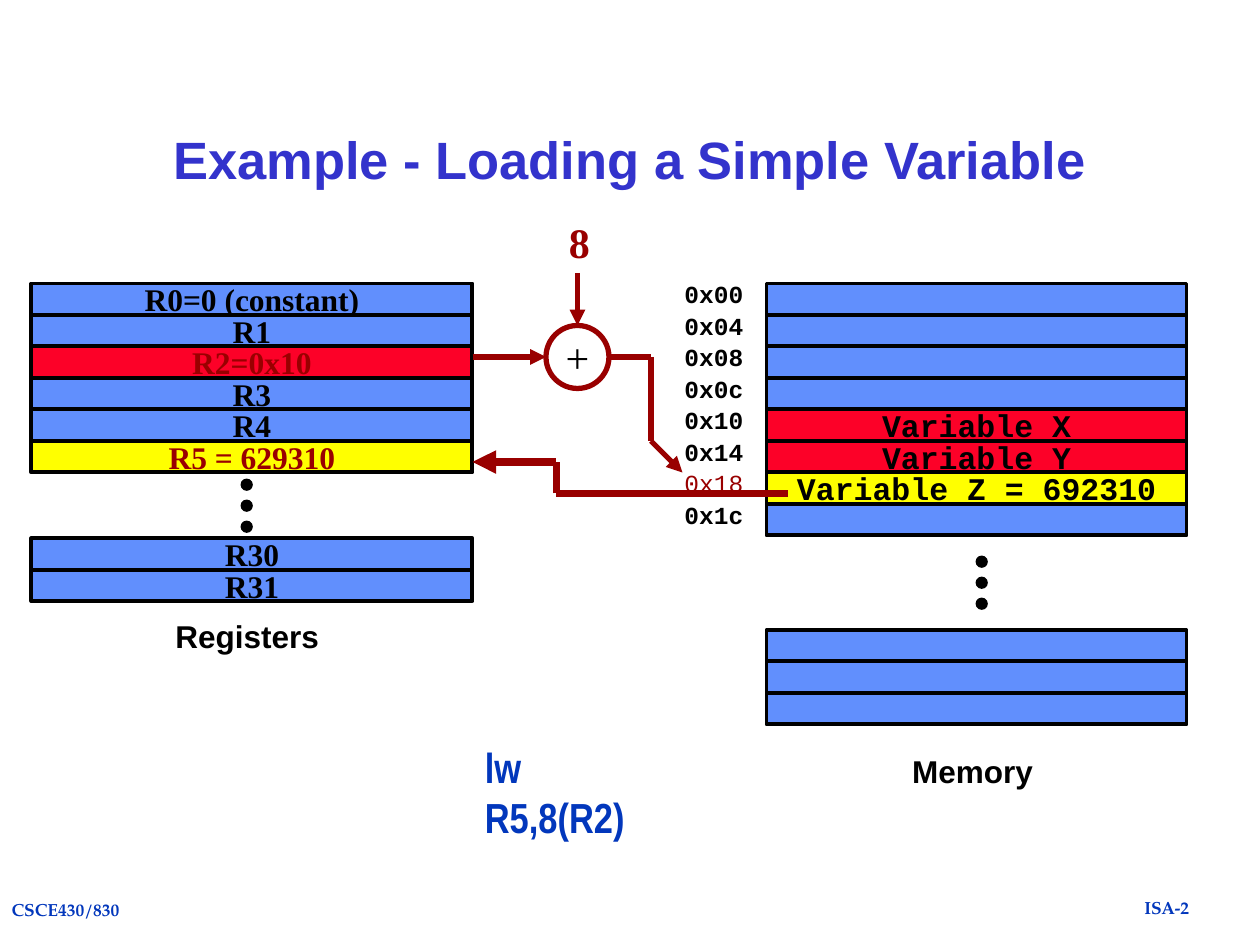
import pptx
import pptx.dml.color
import pptx.enum.shapes
import pptx.enum.text
import pptx.oxml
import pptx.oxml.ns
import pptx.util
from lxml import etree

Pt = pptx.util.Pt
RGBColor = pptx.dml.color.RGBColor
MSO_SHAPE = pptx.enum.shapes.MSO_SHAPE
MSO_CONNECTOR = pptx.enum.shapes.MSO_CONNECTOR
MSO_ANCHOR = pptx.enum.text.MSO_ANCHOR
MSO_AUTO_SIZE = pptx.enum.text.MSO_AUTO_SIZE
PP_ALIGN = pptx.enum.text.PP_ALIGN
qn = pptx.oxml.ns.qn

BLACK = RGBColor(0x00, 0x00, 0x00)
DARK_RED = RGBColor(0x99, 0x00, 0x00)
RED = RGBColor(0xFC, 0x01, 0x28)
YELLOW = RGBColor(0xFF, 0xFF, 0x00)
CELL_BLUE = RGBColor(0x61, 0x8F, 0xFD)
TEXT_BLUE = RGBColor(0x02, 0x37, 0xBC)
TITLE_BLUE = RGBColor(0x33, 0x33, 0xCC)

ROW_HEIGHT = 18
STACK_TOP = 162
REGISTER_LEFT, REGISTER_WIDTH = 18, 252
MEMORY_LEFT, MEMORY_WIDTH = 438, 240


def write_text(shape, text, font_name, size, color, bold=True, align=PP_ALIGN.CENTER):
    """Write one unwrapped line of text into a shape and return its paragraph."""
    shape.text_frame.word_wrap = False
    paragraph = shape.text_frame.paragraphs[0]
    paragraph.alignment = align
    run = paragraph.add_run()
    run.text = text
    run.font.name = font_name
    run.font.size = Pt(size)
    run.font.bold = bold
    run.font.color.rgb = color
    return paragraph


def add_outlined_shape(kind, left, top, width, height, line_color, line_width, fill=None):
    shape = slide.shapes.add_shape(kind, Pt(left), Pt(top), Pt(width), Pt(height))
    shape.shadow.inherit = False
    if fill is None:
        shape.fill.background()
    else:
        shape.fill.solid()
        shape.fill.fore_color.rgb = fill
    shape.line.color.rgb = line_color
    shape.line.width = Pt(line_width)
    shape.text_frame.vertical_anchor = MSO_ANCHOR.MIDDLE
    return shape


presentation = pptx.Presentation()
presentation.slide_width = Pt(720)
presentation.slide_height = Pt(540)
slide = presentation.slides.add_slide(presentation.slide_layouts[5])

# Title
title = slide.shapes.title
title.left, title.top, title.width, title.height = Pt(78), Pt(48), Pt(564), Pt(90)
paragraph = write_text(title, "Example - Loading a Simple Variable", "Arial", 30, TITLE_BLUE)
paragraph.line_spacing = 0.9
title.text_frame.word_wrap = True
title.text_frame.auto_size = MSO_AUTO_SIZE.NONE
title.text_frame.vertical_anchor = MSO_ANCHOR.MIDDLE

# Labels: text, left, top, width, height, font, size, colour, bold, alignment
labels = [
    ("ISA-2", 646.4, 508.8, 40.6, 19, "TeX Gyre Pagella", 10, TEXT_BLUE, True, PP_ALIGN.CENTER),
    ("CSCE430/830", -0.7, 510, 76.3, 19, "TeX Gyre Pagella", 10, TEXT_BLUE, True, PP_ALIGN.CENTER),
    ("lw R5,8(R2)", 270, 420, 120, 36, "Arial Narrow", 24, TEXT_BLUE, True, PP_ALIGN.LEFT),
    ("8", 318, 120, 26, 36, "Times New Roman", 24, DARK_RED, True, PP_ALIGN.LEFT),
    ("Registers", 93, 349, 96.5, 29, "Arial", 18, BLACK, True, PP_ALIGN.CENTER),
    ("Memory", 514, 426, 83.5, 29, "Arial", 18, BLACK, True, PP_ALIGN.CENTER),
]
addresses = ["0x00", "0x04", "0x08", "0x0c", "0x10", "0x14", "0x18", "0x1c"]
for row, address in enumerate(addresses):
    selected = address == "0x18"
    labels.append((address, 384, 156 + row * ROW_HEIGHT, 48, 24.5, "Courier New", 14,
                   DARK_RED if selected else BLACK, not selected, PP_ALIGN.LEFT))
for text, left, top, width, height, *style in labels:
    box = slide.shapes.add_textbox(Pt(left), Pt(top), Pt(width), Pt(height))
    write_text(box, text, *style)
    box.text_frame.auto_size = MSO_AUTO_SIZE.SHAPE_TO_FIT_TEXT

# Register and memory stacks: left, top, width, font, cells (text, fill, text colour)
stacks = [
    (REGISTER_LEFT, STACK_TOP, REGISTER_WIDTH, "Times New Roman", [
        ("R0=0 (constant)", CELL_BLUE, BLACK),
        ("R1", CELL_BLUE, BLACK),
        ("R2=0x10", RED, DARK_RED),
        ("R3", CELL_BLUE, BLACK),
        ("R4", CELL_BLUE, BLACK),
        ("R5 = 629310", YELLOW, DARK_RED),
    ]),
    (REGISTER_LEFT, 307.5, REGISTER_WIDTH, "Times New Roman", [
        ("R30", CELL_BLUE, BLACK),
        ("R31", CELL_BLUE, BLACK),
    ]),
    (MEMORY_LEFT, STACK_TOP, MEMORY_WIDTH, "Courier New", [
        *[("", CELL_BLUE, BLACK)] * 4,
        ("Variable X", RED, BLACK),
        ("Variable Y", RED, BLACK),
        ("Variable Z = 692310", YELLOW, BLACK),
        ("", CELL_BLUE, BLACK),
    ]),
    (MEMORY_LEFT, 360, MEMORY_WIDTH, "Courier New", [("", CELL_BLUE, BLACK)] * 3),
]
for left, top, width, font_name, cells in stacks:
    for row, (text, fill, color) in enumerate(cells):
        cell = add_outlined_shape(MSO_SHAPE.RECTANGLE, left, top + row * ROW_HEIGHT,
                                  width, ROW_HEIGHT, BLACK, 2.25, fill)
        if text:
            write_text(cell, text, font_name, 18, color)

# Dots for the rows left out
for left, top in [(138, 274), (558, 318)]:
    for step in range(3):
        add_outlined_shape(MSO_SHAPE.OVAL, left, top + step * 12, 6, 6, BLACK, 1, BLACK)

# Adder
adder = add_outlined_shape(MSO_SHAPE.OVAL, 312, 186, 36, 36, DARK_RED, 3)
write_text(adder, "+", "Times New Roman", 24, BLACK, bold=False)

# Data paths: line width and corner points, with an arrowhead at the last point
data_paths = [
    (3, [(270, 204), (312, 204)]),
    (3, [(330, 156), (330, 186)]),
    (3, [(348, 204), (372, 204), (372, 252), (390, 270)]),
    (4.5, [(450, 282), (318, 282), (318, 264), (270, 264)]),
]
for line_width, points in data_paths:
    for start, end in zip(points, points[1:]):
        connector = slide.shapes.add_connector(
            MSO_CONNECTOR.STRAIGHT, Pt(start[0]), Pt(start[1]), Pt(end[0]), Pt(end[1]))
        connector.line.color.rgb = DARK_RED
        connector.line.width = Pt(line_width)
        if end == points[-1]:
            line = connector.line._get_or_add_ln()
            etree.SubElement(line, qn("a:tailEnd"), type="triangle")
        etree.SubElement(connector._element.spPr, qn("a:effectLst"))

presentation.save("out.pptx")
